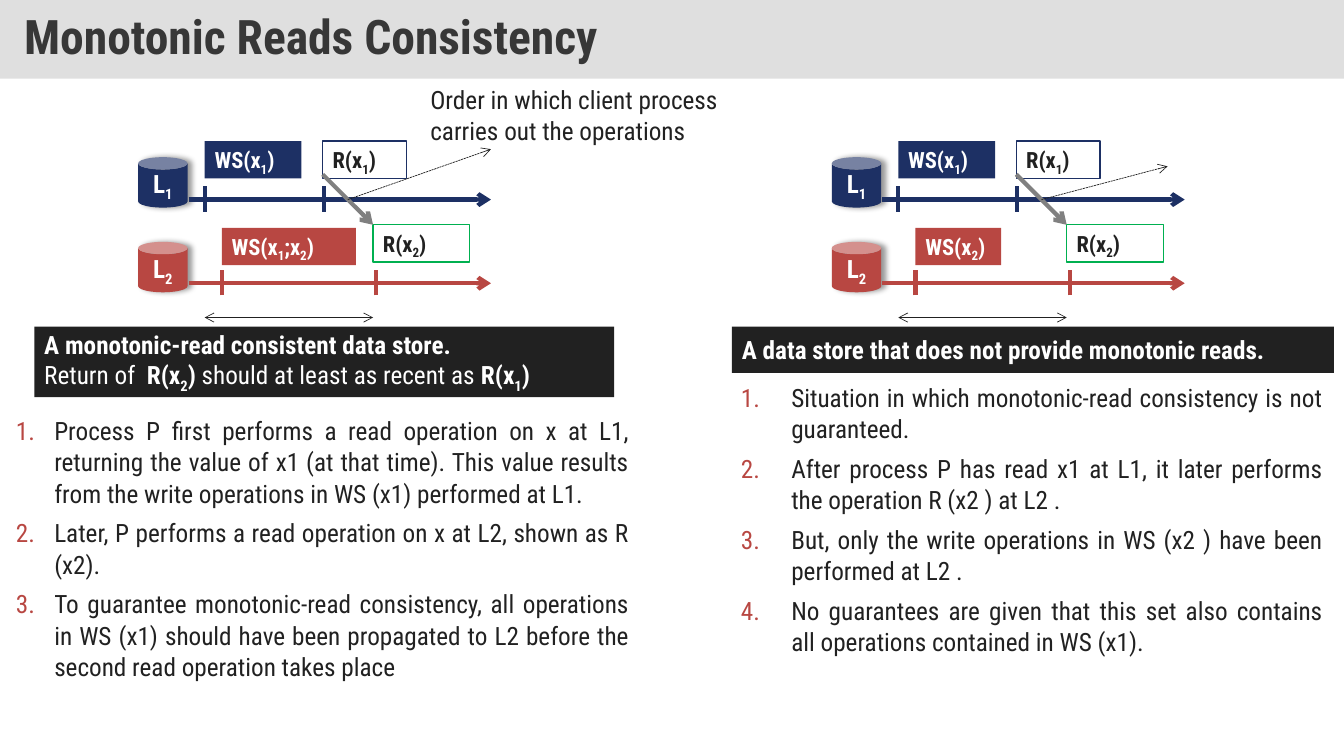
from pptx import Presentation
from pptx.dml.color import RGBColor
from pptx.enum.dml import MSO_LINE
from pptx.enum.shapes import MSO_CONNECTOR, MSO_SHAPE
from pptx.enum.text import MSO_ANCHOR, PP_ALIGN
from pptx.oxml.ns import qn
from pptx.util import Inches, Pt
from lxml import etree

RECT, CAN = MSO_SHAPE.RECTANGLE, MSO_SHAPE.CAN
STRAIGHT, DASH = MSO_CONNECTOR.STRAIGHT, MSO_LINE.SQUARE_DOT
TOP, MID = MSO_ANCHOR.TOP, MSO_ANCHOR.MIDDLE
LEFT, CENTER, JUST = PP_ALIGN.LEFT, PP_ALIGN.CENTER, PP_ALIGN.JUSTIFY
FONT = "Roboto Condensed"
NAVY, RED, GREEN = "1D3064", "B84742", "00B050"
INK, GRAY, WHITE = "212121", "808080", "FFFFFF"

TITLE = "Monotonic Reads Consistency"
NOTE = "Order in which client process carries out the operations"

# Runs are (text, style): b bold, s bold subscript, empty plain.
READ1 = [("R(x", "b"), ("1", "s"), (")", "b")]
READ2 = [("R(x", "b"), ("2", "s"), (")", "b")]
WRITE1 = [("WS(x", "b"), ("1", "s"), (")", "b")]
WRITE2 = [("WS(x", "b"), ("2", "s"), (")", "b")]
BOTH = [("WS(x", "b"), ("1", "s"), (";x", "b"), ("2", "s"), (")", "b")]

PANELS = [
    dict(
        dx=0, write=BOTH, wide=1.33, tip=(4.87, 1.48),
        bar=(0.34, 3.24, 5.75, 0.7),
        claim=[
            [("A monotonic-read consistent data store.", "b")],
            [("Return of  ", ""), *READ2,
             (" should at least as recent as ", ""), *READ1],
        ],
        box=(0.06, 4.06, 6.28, 2.84), indent=0.38,
        steps=[
            "Process P first performs a read operation on x at L1, returning the value of x1 "
            "(at that time). This value results from the write operations in WS (x1) performed at L1.",
            "Later, P performs a read operation on x at L2, shown as R (x2).",
            "To guarantee monotonic-read consistency, all operations in WS (x1) should have been "
            "propagated to L2 before the second read operation takes place",
        ],
    ),
    dict(
        dx=6.88, write=WRITE2, wide=0.85, tip=(4.7, 1.65),
        bar=(7.26, 3.24, 5.97, 0.46),
        claim=[[("A data store that does not provide monotonic reads.", "b")]],
        box=(7.25, 3.73, 5.97, 3.3), indent=0.5,
        steps=[
            "Situation in which monotonic-read consistency is not guaranteed.",
            "After process P has read x1 at L1, it later performs the operation R (x2 ) at L2 .",
            "But, only the write operations in WS (x2 ) have been performed at L2 .",
            "No guarantees are given that this set also contains all operations contained in WS (x1).",
        ],
    ),
]


def color(code):
    return RGBColor.from_string(code)


def sub(parent, tag, **attrs):
    return etree.SubElement(parent, qn(tag), attrs)


def write(shape, paras, size, ink, anchor=TOP, align=LEFT, indent=0):
    frame = shape.text_frame
    frame.word_wrap = True
    frame.vertical_anchor = anchor
    for i, runs in enumerate(paras):
        para = frame.paragraphs[0] if i == 0 else frame.add_paragraph()
        para.alignment = align
        if indent:
            props = para._p.get_or_add_pPr()
            props.set("marL", str(Inches(indent)))
            props.set("indent", str(-Inches(indent)))
            sub(sub(props, "a:buClr"), "a:srgbClr", val=RED)
            sub(props, "a:buFont", typeface="+mj-lt")
            sub(props, "a:buAutoNum", type="arabicPeriod")
            para.line_spacing = 1.04
            para.space_before = Pt(5.8 if i else 0)
        for text, style in runs:
            run = para.add_run()
            run.text = text
            font = run.font
            font.name, font.size = FONT, Pt(size)
            font.bold = style != ""
            font.color.rgb = color(ink)
            if style == "s":
                font._element.set("baseline", "-25000")
    return frame


def block(kind, area, fill, edge=None):
    shape = slide.shapes.add_shape(kind, *map(Inches, area))
    shape.shadow.inherit = False
    shape.fill.solid()
    shape.fill.fore_color.rgb = color(fill)
    if edge:
        shape.line.color.rgb = color(edge)
        shape.line.width = Pt(1)
    else:
        shape.line.fill.background()
    return shape


def line(start, end, ink, width, ends=(), dash=None):
    link = slide.shapes.add_connector(STRAIGHT, *map(Inches, (*start, *end)))
    link.line.color.rgb = color(ink)
    link.line.width = Pt(width)
    if dash:
        link.line.dash_style = dash
    for tag in ends:
        sub(link.line._get_or_add_ln(), tag, type="arrow")
    sub(link._element.spPr, "a:effectLst")


def textbox(area, paras, **opts):
    box = slide.shapes.add_textbox(*map(Inches, area))
    write(box, paras, 18, INK, **opts)


def store(x, y, num, ink):
    can = block(CAN, (x, y, 0.49, 0.5), ink)
    glow = sub(can._element.spPr.find(qn("a:effectLst")), "a:outerShdw",
               blurRad=str(Pt(4)), dist=str(Pt(3)), dir="0", algn="l", rotWithShape="0")
    sub(sub(glow, "a:srgbClr", val="000000"), "a:alpha", val="40000")
    write(can, [[("L", "b"), (num, "s")]], 18, WHITE, MID, CENTER)


def panel(dx, write_op, wide, tip):
    tail, head = "a:tailEnd", "a:headEnd"
    rows = [("1", 1.56, 1.98, NAVY, (2.03, 3.21)), ("2", 2.4, 2.81, RED, (2.2, 3.73))]
    for num, top, axis, ink, ticks in rows:
        store(1.37 + dx, top, num, ink)
        line((1.87 + dx, axis), (4.87 + dx, axis), ink, 3, [tail])
        for x in ticks:
            line((x + dx, axis + 0.12), (x + dx, axis - 0.13), ink, 3)
    labels = [
        (2.03, 1.4, 0.96, WRITE1, NAVY, None, WHITE),
        (2.2, 2.26, wide, write_op, RED, None, WHITE),
        (3.7, 2.23, 0.96, READ2, WHITE, GREEN, INK),
        (3.2, 1.4, 0.83, READ1, WHITE, NAVY, INK),
    ]
    for x, y, w, runs, fill, edge, ink in labels:
        write(block(RECT, (x + dx, y, w, 0.37), fill, edge), [runs], 16, ink)
    line((2.03 + dx, 3.15), (3.7 + dx, 3.15), INK, 0.5, [head, tail])
    line((3.2 + dx, 1.73), (3.7 + dx, 2.23), GRAY, 3, [tail])
    line((3.45 + dx, 1.98), (tip[0] + dx, tip[1]), INK, 0.5, [tail], DASH)


def main():
    """Draw the slide on monotonic reads and save it."""
    head = block(RECT, (0, 0, 13.33, 0.78), "C0C0C0")
    tone = head._element.spPr.find(qn("a:solidFill"))[0]
    sub(tone, "a:alpha", val="50000")
    frame = write(head, [[(TITLE, "b")]], 34, "373737", MID)
    frame.margin_left = frame.margin_right = Inches(0.24)
    frame.margin_top = frame.margin_bottom = Inches(0.12)
    frame.paragraphs[0].line_spacing = 0.9
    for p in PANELS:
        panel(p["dx"], p["write"], p["wide"], p["tip"])
        write(block(RECT, p["bar"], INK), p["claim"], 18, WHITE, MID)
        steps = [[(step, "")] for step in p["steps"]]
        textbox(p["box"], steps, align=JUST, indent=p["indent"])
    textbox((4.17, 0.79, 3.08, 0.71), [[(NOTE, "")]])
    deck.save("out.pptx")


if __name__ == "__main__":
    deck = Presentation()
    deck.slide_width, deck.slide_height = Inches(13.33), Inches(7.5)
    slide = deck.slides.add_slide(deck.slide_layouts[6])
    main()
